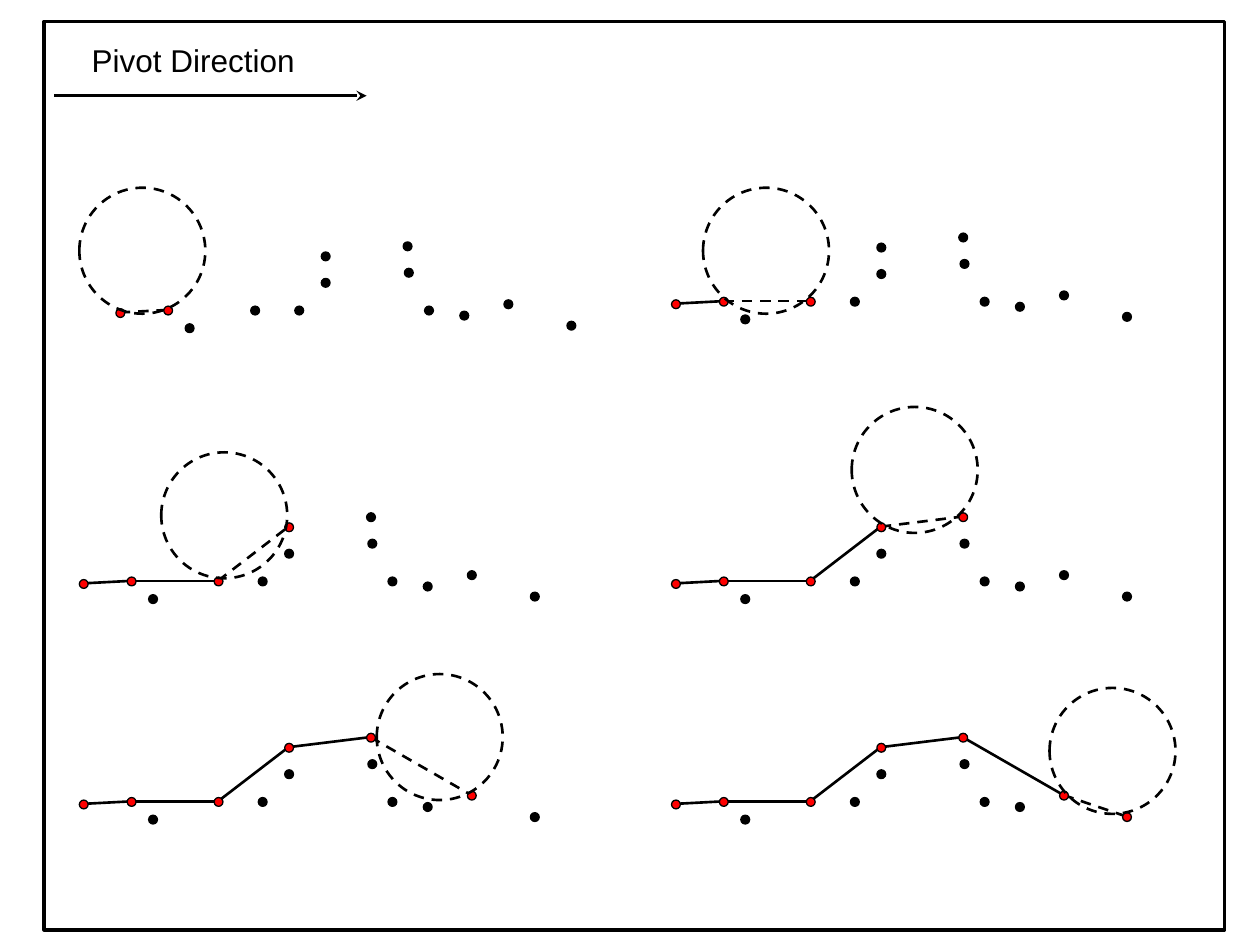
"""Draw six steps of a ball pivoting along a row of points."""
from dataclasses import dataclass
from itertools import pairwise

from lxml import etree
from pptx import Presentation
from pptx.dml.color import RGBColor
from pptx.enum.dml import MSO_LINE
from pptx.enum.shapes import MSO_CONNECTOR, MSO_SHAPE
from pptx.enum.text import MSO_AUTO_SIZE
from pptx.oxml.ns import qn
from pptx.util import Inches, Pt

DASH = MSO_LINE.DASH
STRAIGHT = MSO_CONNECTOR.STRAIGHT
OVAL, RECT = MSO_SHAPE.OVAL, MSO_SHAPE.RECTANGLE
GROW = MSO_AUTO_SIZE.SHAPE_TO_FIT_TEXT


@dataclass(frozen=True)
class Theme:
    ink: RGBColor = RGBColor(0, 0, 0)
    hit: RGBColor = RGBColor(255, 0, 0)
    font: str = "Arial"
    size: float = 18
    thin: float = 0.75
    line: float = 1.5
    frame: float = 2


class Board:
    def __init__(self, slide, theme):
        self.slide, self.theme = slide, theme

    def stroke(self, item, width, dash=None):
        item.line.color.rgb = self.theme.ink
        for name, value in {"width": Pt(width), "dash_style": dash}.items():
            setattr(item.line, name, value)

    def shape(self, kind, box, width, fill=None, dash=None, home=None):
        item = (home or self.slide).shapes.add_shape(kind, *map(Inches, box))
        item.shadow.inherit = False
        if fill is None:
            item.fill.background()
        else:
            item.fill.solid()
            item.fill.fore_color.rgb = fill
        self.stroke(item, width, dash)

    def link(self, start, end, dash=None, head=None, home=None):
        ends = map(Inches, (*start, *end))
        item = (home or self.slide).shapes.add_connector(STRAIGHT, *ends)
        self.stroke(item, self.theme.line, dash)
        if head:
            tip = etree.SubElement(item.line._get_or_add_ln(), qn("a:tailEnd"))
            tip.set("type", head)
        etree.SubElement(item._element.spPr, qn("a:effectLst"))

    def label(self, text, box):
        frame = self.slide.shapes.add_textbox(*map(Inches, box)).text_frame
        for name, value in {"word_wrap": True, "auto_size": GROW}.items():
            setattr(frame, name, value)
        para = frame.paragraphs[0]
        para.text = text
        style = {"name": self.theme.font, "size": Pt(self.theme.size)}
        for name, value in style.items():
            setattr(para.font, name, value)
        para.font.color.rgb = self.theme.ink

    def step(self, count, origin, ball):
        theme, group = self.theme, self.slide.shapes.add_group_shape()
        left, top = origin
        mids = [(left + x + MID, top + y + MID) for x, y in PATH[:count + 1]]
        for rank, (start, end) in enumerate(pairwise(mids), 1):
            self.link(start, end, DASH if rank == count else None, home=group)
        for rank, (x, y) in enumerate(PATH + REST):
            fill = theme.hit if rank <= count else theme.ink
            box = (left + x, top + y, DOT, DOT)
            self.shape(OVAL, box, theme.thin, fill, home=group)
        self.shape(OVAL, (*ball, BALL, BALL), theme.line, dash=DASH, home=group)


DOT, MID, BALL = 0.07, 0.03, 1
PATH = [(0, 0), (0.38, -0.02), (1.07, -0.02), (1.63, -0.45), (2.28, -0.53),
        (3.08, -0.07), (3.58, 0.1)]
REST = [(0.55, 0.12), (1.42, -0.02), (1.63, -0.24), (2.29, -0.32),
        (2.45, -0.02), (2.73, 0.02)]
STEPS = [((0.92, 2.45), (0.63, 1.49)), ((5.33, 2.38), (5.58, 1.49)),
         ((0.63, 4.6), (1.28, 3.59)), ((5.33, 4.6), (6.76, 3.23)),
         ((0.63, 6.35), (2.99, 5.35)), ((5.33, 6.35), (8.33, 5.46))]


def main():
    deck = Presentation()
    deck.slide_width, deck.slide_height = Inches(10), Inches(7.5)
    theme = Theme()
    board = Board(deck.slides.add_slide(deck.slide_layouts[6]), theme)
    board.link((0.43, 0.76), (2.91, 0.76), head="stealth")
    board.label("Pivot Direction", (0.63, 0.28, 2.24, 0.4))
    for count, (origin, ball) in enumerate(STEPS, 1):
        board.step(count, origin, ball)
    board.shape(RECT, (0.35, 0.17, 9.37, 7.21), theme.frame)
    deck.save("out.pptx")


if __name__ == "__main__":
    main()
